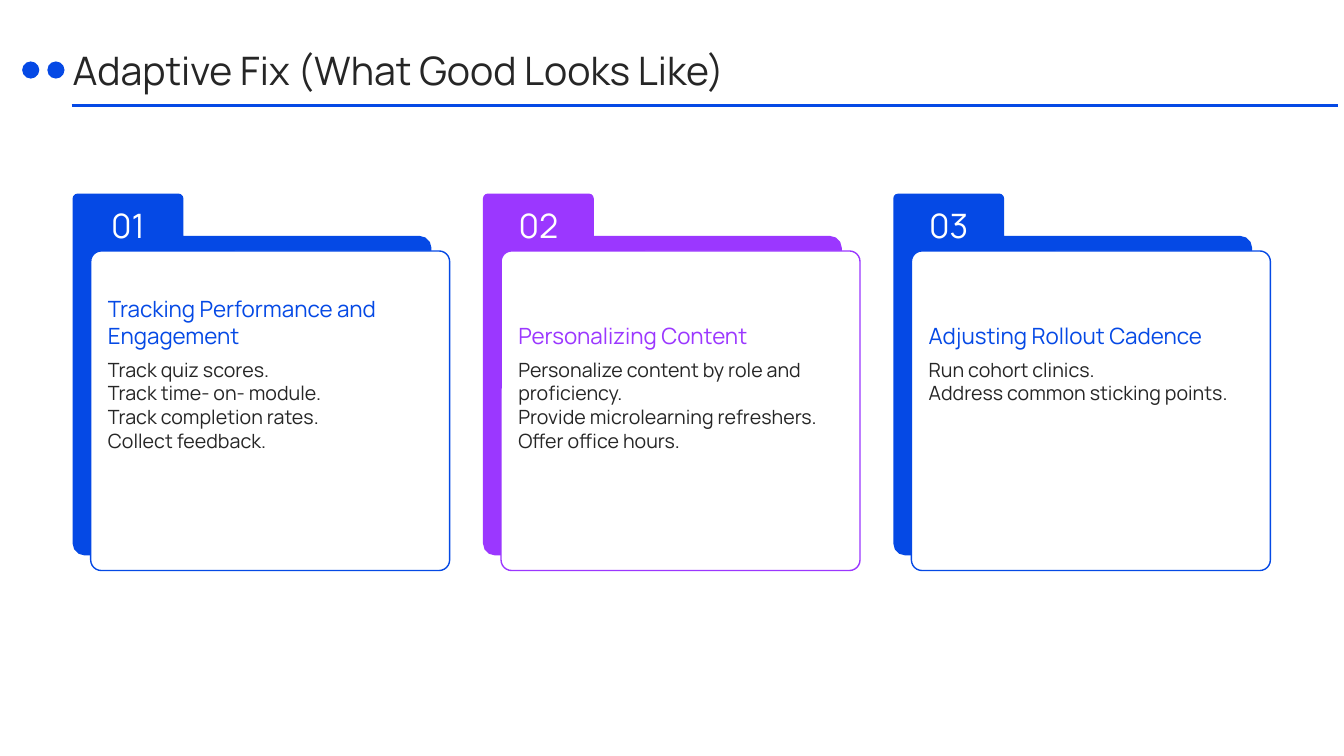
from math import cos, radians, sin

from lxml.etree import SubElement
from pptx import Presentation
from pptx.dml.color import RGBColor
from pptx.enum.shapes import MSO_CONNECTOR as Link, MSO_SHAPE as Shape
from pptx.enum.text import MSO_ANCHOR as Anchor, PP_ALIGN as Align
from pptx.oxml.ns import qn
from pptx.util import Inches, Pt

BLUE, PURPLE, DARK, WHITE = "0549E5", "9B37FF", "262626", "FFFFFF"
CARDS = [
    ("01", BLUE, "Tracking Performance and Engagement",
     ["Track quiz scores.", "Track time- on- module.",
      "Track completion rates.", "Collect feedback."]),
    ("02", PURPLE, "Personalizing Content",
     ["Personalize content by role and proficiency.",
      "Provide microlearning refreshers.", "Offer office hours."]),
    ("03", BLUE, "Adjusting Rollout Cadence",
     ["Run cohort clinics.", "Address common sticking points."]),
]


def color(code):
    """Turn a hex string into a colour."""
    return RGBColor.from_string(code)


def place(shape, x, y, w, h):
    """Move and size a shape, in inches."""
    shape.left, shape.top = Inches(x), Inches(y)
    shape.width, shape.height = Inches(w), Inches(h)


def paint(shape, fill, line=None):
    """Give a shape a flat fill and an optional thin outline."""
    shape.shadow.inherit = False
    shape.fill.solid()
    shape.fill.fore_color.rgb = color(fill)
    if line:
        shape.line.color.rgb = color(line)
        shape.line.width = Pt(1)
    else:
        shape.line.fill.background()


def write(frame, lines, size, code, anchor=Anchor.TOP, align=Align.LEFT):
    """Fill a text frame with one paragraph, broken after each line."""
    frame.word_wrap = True
    frame.margin_left = frame.margin_right = 0
    frame.margin_top = frame.margin_bottom = 0
    frame.vertical_anchor = anchor
    para = frame.paragraphs[0]
    para.text = "\n".join(lines)
    para.alignment = align
    para.line_spacing = 1.0
    para.font.name = "Manrope"
    para.font.size = Pt(size)
    para.font.color.rgb = color(code)


def label(slide, x, y, w, h, *text):
    """Add a text box."""
    box = slide.shapes.add_textbox(Inches(x), Inches(y), Inches(w), Inches(h))
    write(box.text_frame, *text)


def arc(x, y, r, start):
    """List points on a clockwise quarter circle around a centre."""
    turns = [radians(start + step) for step in range(0, 91, 30)]
    return [(x + r * cos(turn), y + r * sin(turn)) for turn in turns]


def folder(slide, x, y, w, h, fill):
    """Draw a folder back with a tab at its top left."""
    tab, top, small, big = 1.1, 0.42, 0.05, 0.12
    spots = [
        *arc(x + small, y + small, small, 180),
        *arc(x + tab - small, y + small, small, 270),
        (x + tab, y + top),
        *arc(x + w - big, y + top + big, big, 270),
        *arc(x + w - big, y + h - big, big, 0),
        *arc(x + big, y + h - big, big, 90),
    ]
    points = [(Inches(left), Inches(down)) for left, down in spots]
    pen = slide.shapes.build_freeform(*points[0])
    pen.add_line_segments(points[1:], close=True)
    paint(pen.convert_to_shape(), fill)


def card(slide, x, y, num, tint, head, lines):
    """Draw one numbered folder card from its top left corner."""
    w = 3.56
    folder(slide, x, y, w, 3.59, tint)
    page = slide.shapes.add_shape(Shape.ROUNDED_RECTANGLE, 0, 0, 0, 0)
    place(page, x + 0.18, y + 0.57, w, 3.17)
    page.adjustments[0] = 0.033
    paint(page, WHITE, tint)
    label(slide, x, y + 0.05, 1.1, 0.46, [num], 24, WHITE,
          Anchor.BOTTOM, Align.CENTER)
    label(slide, x + 0.35, y + 0.8, 3.22, 0.74, [head], 16, tint,
          Anchor.BOTTOM)
    label(slide, x + 0.35, y + 1.63, 3.22, 1.6, lines, 14, DARK)


def header(slide, x, y, w, h, text):
    """Set the title with its rule and two dots."""
    title = slide.shapes.title
    place(title, x, y, w, h)
    write(title.text_frame, [text], 28, DARK, Anchor.MIDDLE)
    rule = slide.shapes.add_connector(
        Link.STRAIGHT, Inches(x - 0.01), Inches(y + 0.61),
        Inches(13.27), Inches(y + 0.61))
    rule.line.color.rgb = color(BLUE)
    rule.line.width = Pt(2.25)
    SubElement(rule._element.spPr, qn("a:effectLst"))
    for gap in (0.5, 0.25):
        dot = slide.shapes.add_shape(Shape.OVAL, 0, 0, 0, 0)
        place(dot, x - gap, y + 0.17, 0.17, 0.17)
        paint(dot, BLUE)


def main():
    """Build and save the slide."""
    deck = Presentation()
    deck.slide_width, deck.slide_height = Inches(13.33), Inches(7.5)
    slide = deck.slides.add_slide(deck.slide_layouts[5])
    header(slide, 0.72, 0.44, 11.67, 0.51,
           "Adaptive Fix (What Good Looks Like)")
    for col, item in enumerate(CARDS):
        card(slide, 0.72 + 4.07 * col, 1.92, *item)
    deck.save("out.pptx")


if __name__ == "__main__":
    main()
